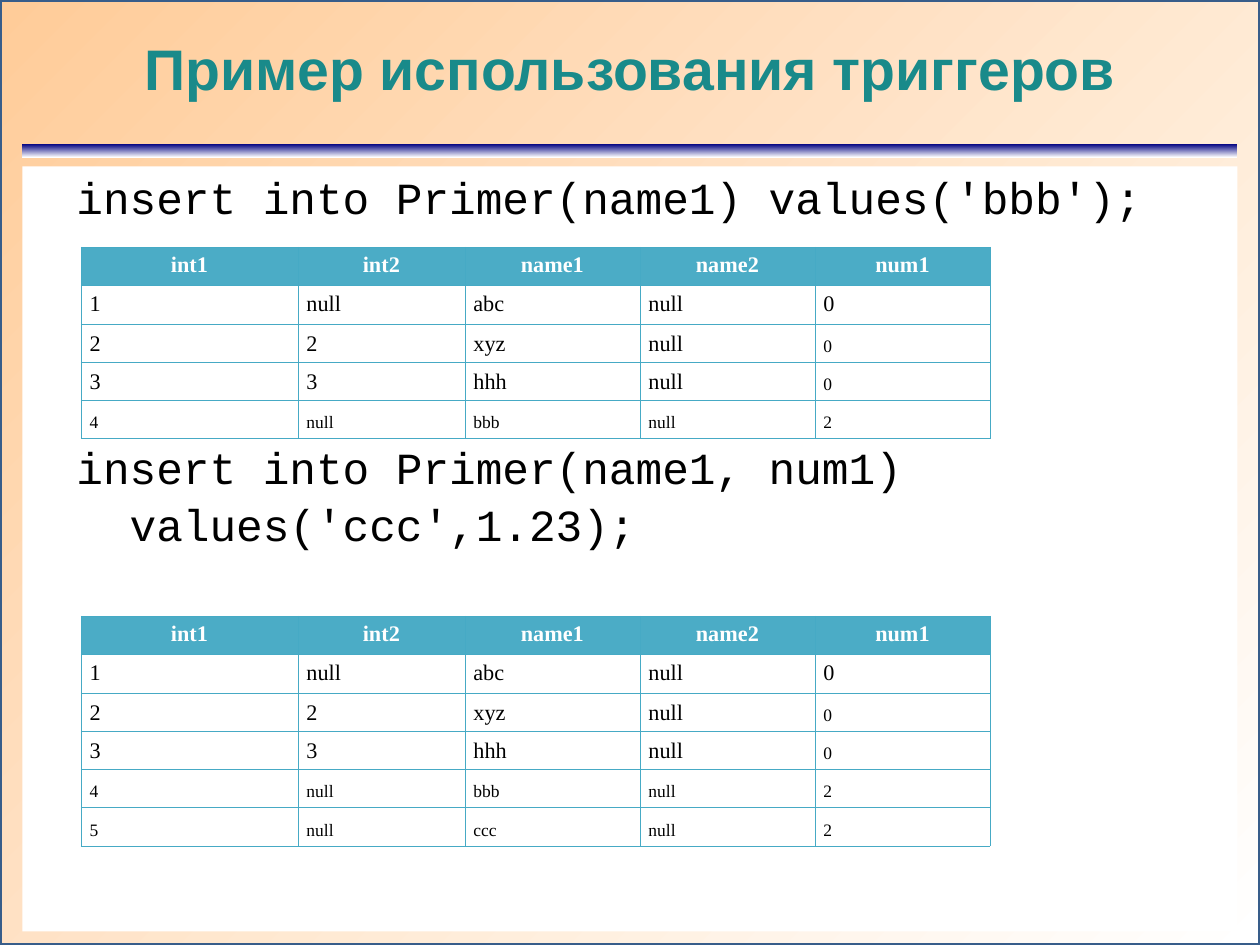
from lxml.etree import SubElement
from pptx import Presentation
from pptx.dml.color import RGBColor
from pptx.enum.shapes import MSO_SHAPE
from pptx.enum.text import MSO_ANCHOR, PP_ALIGN
from pptx.oxml.ns import qn
from pptx.util import Cm, Pt

HEADER = ("int1", "int2", "name1", "name2", "num1")
ROWS = [
    ("1", "null", "abc", "null", "0"),
    ("2", "2", "xyz", "null", "0"),
    ("3", "3", "hhh", "null", "0"),
    ("4", "null", "bbb", "null", "2"),
    ("5", "null", "ccc", "null", "2"),
]
COL_WIDTHS = (4.82, 3.71, 3.89, 3.89, 3.89)


def rgb(value):
    """Return the colour for a hex string."""
    return RGBColor.from_string(value)


def set_font(p, name, size, color, bold=False):
    """Format every run of a paragraph."""
    for r in p.runs:
        r.font.name = name
        r.font.size = Pt(size)
        r.font.bold = bold
        r.font.color.rgb = rgb(color)


def clear_margins(tf):
    """Wrap the text and remove its insets."""
    tf.word_wrap = True
    tf.margin_left = tf.margin_right = tf.margin_top = tf.margin_bottom = 0


def add_panel(s, left, top, width, height, colors, angle=0, line=None):
    """Add a rectangle with a plain fill or a two-colour gradient."""
    sp = s.shapes.add_shape(MSO_SHAPE.RECTANGLE, Cm(left), Cm(top), Cm(width), Cm(height))
    sp.shadow.inherit = False
    if len(colors) == 1:
        sp.fill.solid()
        sp.fill.fore_color.rgb = rgb(colors[0])
    else:
        sp.fill.gradient()
        sp.fill.gradient_angle = angle
        for stop, color, position in zip(sp.fill.gradient_stops, colors, (0, 1)):
            stop.color.rgb = rgb(color)
            stop.position = position
    if line:
        sp.line.color.rgb = rgb(line)
        sp.line.width = Pt(2)
    else:
        sp.line.fill.background()
    return sp


def add_title(s, text):
    """Add the centred slide title."""
    tf = s.shapes.add_textbox(Cm(0.5), Cm(0.5), Cm(27), Cm(2)).text_frame
    clear_margins(tf)
    tf.vertical_anchor = MSO_ANCHOR.MIDDLE
    tf.text = text
    p = tf.paragraphs[0]
    p.alignment = PP_ALIGN.CENTER
    set_font(p, "Arial", 36, "198A8A", bold=True)


def add_code(sp, commands, gap):
    """Write SQL commands into a panel, a gap in points apart."""
    tf = sp.text_frame
    clear_margins(tf)
    tf.vertical_anchor = MSO_ANCHOR.TOP
    for i, command in enumerate(commands):
        p = tf.add_paragraph() if i else tf.paragraphs[0]
        p.text = command
        p.alignment = PP_ALIGN.LEFT
        p.line_spacing = 1.07
        if i:
            p.space_before = Pt(gap)
        p._p.get_or_add_pPr().set("marL", str(Cm(1.2)))
        set_font(p, "Courier New", 28, "000000")


def set_borders(cell, color, width):
    """Draw all four borders of a cell."""
    tcPr = cell._tc.get_or_add_tcPr()
    for i, side in enumerate(("a:lnL", "a:lnR", "a:lnT", "a:lnB")):
        ln = tcPr.makeelement(qn(side), {"w": str(Pt(width))})
        fill = SubElement(ln, qn("a:solidFill"))
        SubElement(fill, qn("a:srgbClr"), val=color)
        tcPr.insert(i, ln)


def fill_cell(cell, text, row, col):
    """Write and format one table cell."""
    cell.margin_left = cell.margin_right = Cm(0.19)
    cell.margin_top = cell.margin_bottom = Cm(0.13)
    cell.fill.solid()
    cell.fill.fore_color.rgb = rgb("FFFFFF" if row else "4BACC6")
    set_borders(cell, "46AAC5", 0.34)
    cell.text = text
    p = cell.text_frame.paragraphs[0]
    if row == 0:
        p.alignment = PP_ALIGN.CENTER
        set_font(p, "Times New Roman", 14, "FFFFFF", bold=True)
        return
    p.alignment = PP_ALIGN.JUSTIFY if col >= 3 else PP_ALIGN.LEFT
    if row > 1:
        p.line_spacing = Pt(16.7)
    small = row > 3 or (row > 1 and col == 4)
    set_font(p, "Times New Roman", 11 if small else 14, "000000")


def add_data_table(s, top, rows):
    """Add a table of the rows under the common header."""
    heights = [0.79, 0.58] + [0.61] * (len(rows) - 1)
    table = s.shapes.add_table(len(heights), len(HEADER), Cm(1.8), Cm(top),
                               Cm(sum(COL_WIDTHS)), Cm(sum(heights))).table
    table.horz_banding = False
    for column, width in zip(table.columns, COL_WIDTHS):
        column.width = Cm(width)
    for i, (height, values) in enumerate(zip(heights, [HEADER, *rows])):
        table.rows[i].height = Cm(height)
        for j, value in enumerate(values):
            fill_cell(table.cell(i, j), value, i, j)


def main():
    """Build the slide and save it."""
    prs = Presentation()
    prs.slide_width, prs.slide_height = Cm(28), Cm(21)
    s = prs.slides.add_slide(prs.slide_layouts[6])
    add_panel(s, 0, 0, 28, 21, ("FFFFFF", "FFCC99"), angle=135, line="385D8A")
    add_panel(s, 0.5, 3.2, 27, 0.3, ("000080", "FFFFFF"), angle=270)
    add_title(s, "Пример использования триггеров")
    body = add_panel(s, 0.5, 3.7, 27, 17, ("FFFFFF",))
    add_code(body, ("insert into Primer(name1) values('bbb');",
                    "insert into Primer(name1, num1)\v  values('ccc',1.23);"), gap=134)
    add_data_table(s, 5.49, ROWS[:4])
    add_data_table(s, 13.69, ROWS)
    prs.save("out.pptx")


if __name__ == "__main__":
    main()
